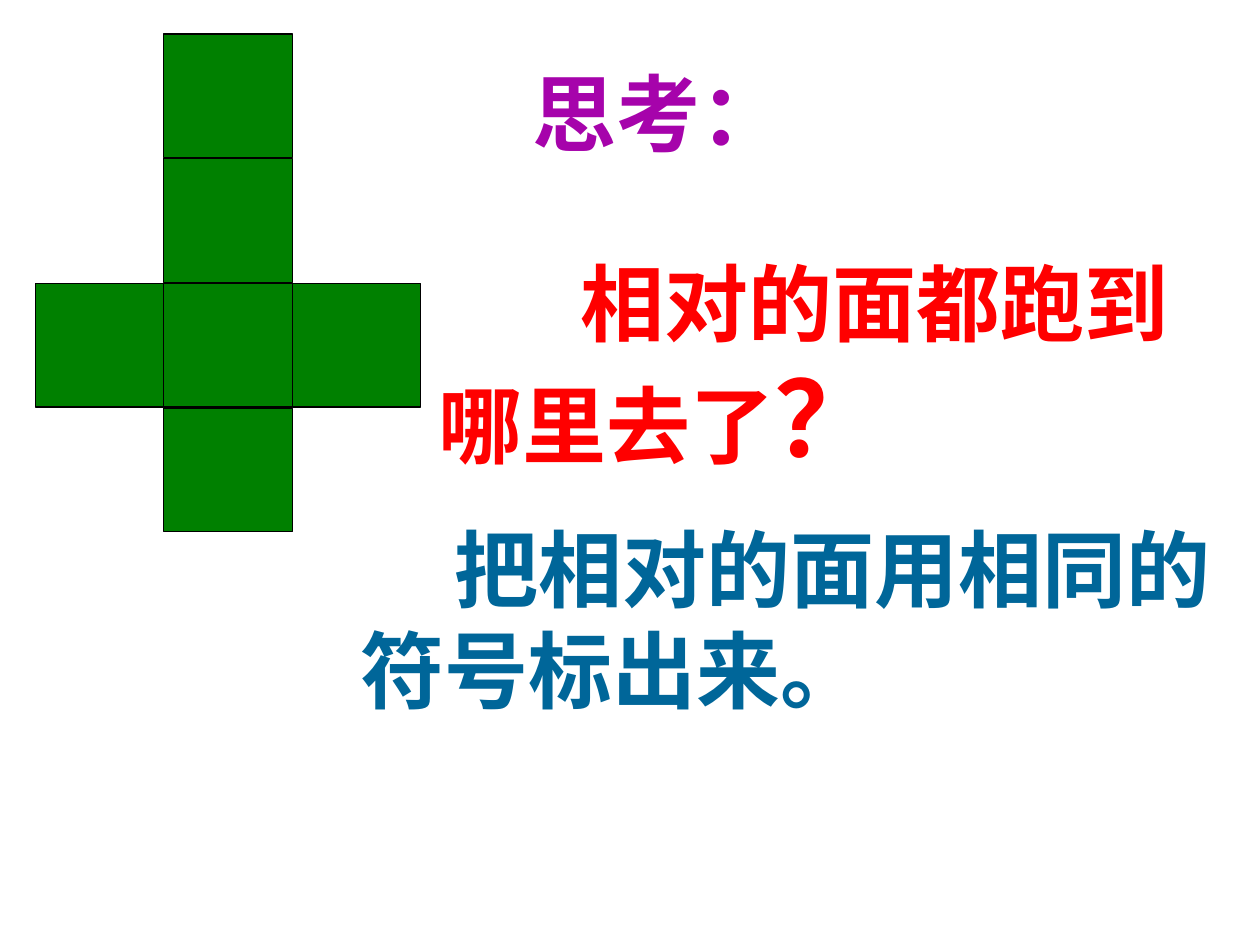
from pptx import Presentation
from pptx.dml.color import RGBColor
from pptx.enum.shapes import MSO_SHAPE
from pptx.util import Inches, Pt

RECT = MSO_SHAPE.RECTANGLE


def color(hex_string):
    return RGBColor.from_string(hex_string)


prs = Presentation()
prs.slide_width, prs.slide_height = Inches(10), Inches(7.5)
s = prs.slides.add_slide(prs.slide_layouts[6])

# Cube net: (column, row) of each face
FACES = [(1, 1), (1, 0), (1, 2), (1, 3), (0, 2), (2, 2)]
FACE_W, FACE_H, ROW_PITCH = 1.02, 0.98, 0.99
net = s.shapes.add_group_shape()
for col, row in FACES:
    face = net.shapes.add_shape(
        RECT, Inches(0.28 + col * FACE_W), Inches(0.27 + row * ROW_PITCH),
        Inches(FACE_W), Inches(FACE_H))
    face.shadow.inherit = False
    face.fill.solid()
    face.fill.fore_color.rgb = color("008000")
    face.line.color.rgb = color("000000")
    face.line.width = Pt(0.75)

# Box (left, top, width, height), top inset, first-line indent, wrap, font,
# colour, runs (text, size)
TEXTS = [
    ((3.38, 1.78, 6.62, 2.1), 0.22, 1.13, True, "Times New Roman", "FF0000",
     [("相对的面都跑到哪里去了", 48), ("？", 60)]),
    ((2.76, 4.06, 7.24, 1.7), 0.05, 0.75, True, "Times New Roman", "006699",
     [("把相对的面用相同的符号标出来。", 48)]),
    ((4.13, 0.44, 2.68, 0.94), 0.05, 0, False, "Noto Sans CJK SC", "A603AB",
     [("思考：", 48)]),
]
for box, inset, indent, wrap, font, fill, runs in TEXTS:
    tf = s.shapes.add_textbox(*(Inches(v) for v in box)).text_frame
    tf.word_wrap = wrap
    tf.margin_top = Inches(inset)
    p = tf.paragraphs[0]
    pPr = p._p.get_or_add_pPr()
    pPr.set("marL", "0")
    pPr.set("indent", str(Inches(indent)))
    for text, size in runs:
        r = p.add_run()
        r.text = text
        r.font.name = font
        r.font.size = Pt(size)
        r.font.bold = True
        r.font.color.rgb = color(fill)

prs.save("out.pptx")
